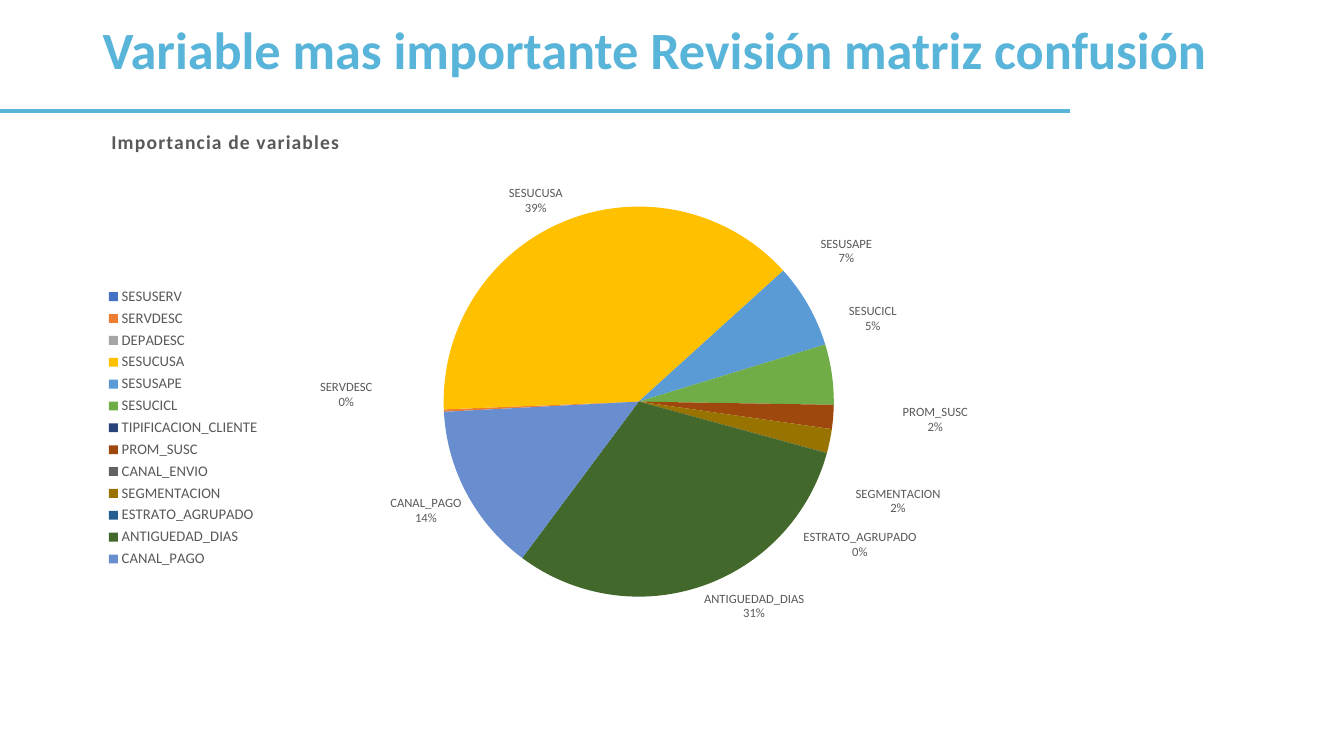
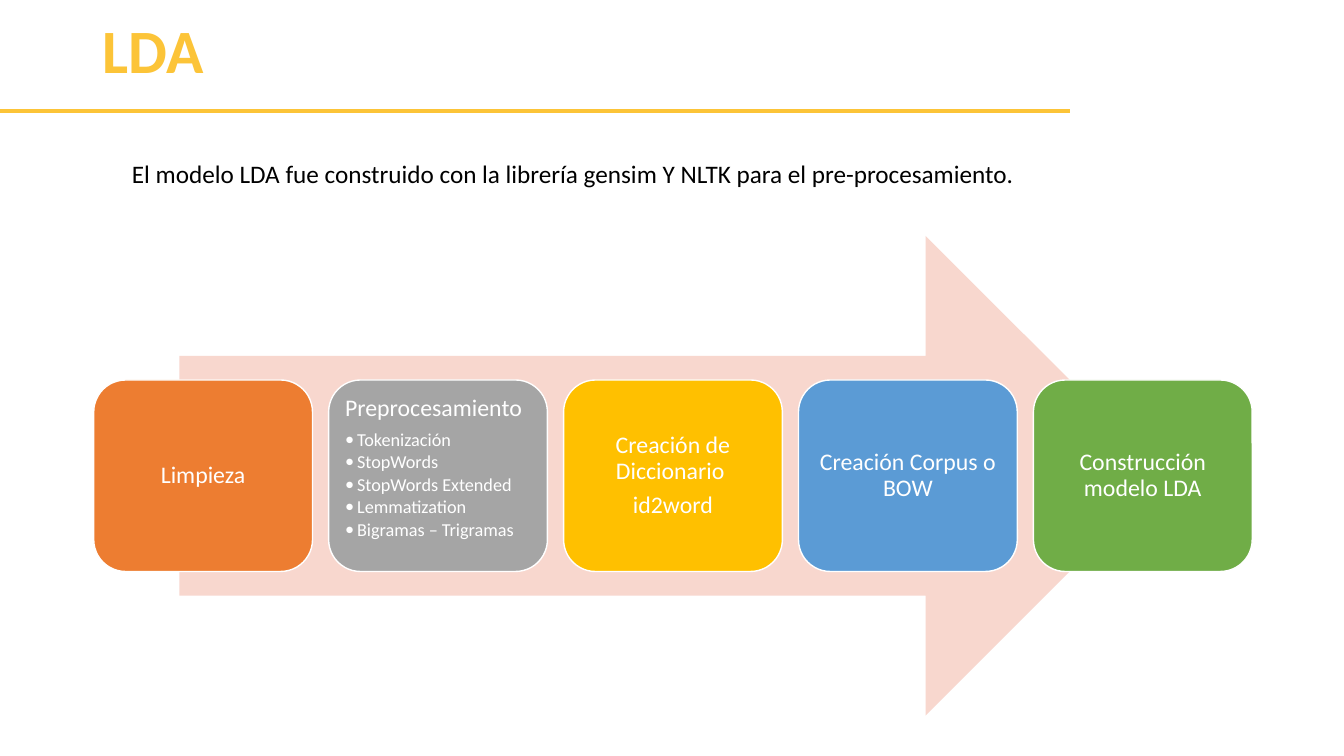
from copy import deepcopy

from pptx import Presentation
from pptx.chart.data import CategoryChartData
from pptx.dml.color import RGBColor
from pptx.enum.chart import XL_CHART_TYPE, XL_LABEL_POSITION, XL_LEGEND_POSITION
from pptx.enum.shapes import MSO_CONNECTOR, MSO_SHAPE
from pptx.enum.text import MSO_ANCHOR, PP_ALIGN
from pptx.oxml import parse_xml
from pptx.oxml.ns import nsdecls, qn
from pptx.util import Inches, Pt

PIE = XL_CHART_TYPE.PIE
OUTER = XL_LABEL_POSITION.OUTSIDE_END
SIDE = XL_LEGEND_POSITION.LEFT
LINE = MSO_CONNECTOR.STRAIGHT
ARROW = MSO_SHAPE.RIGHT_ARROW
ROUND = MSO_SHAPE.ROUNDED_RECTANGLE
TOP, MIDDLE = MSO_ANCHOR.TOP, MSO_ANCHOR.MIDDLE
LEFT, CENTER, JUSTIFY = PP_ALIGN.LEFT, PP_ALIGN.CENTER, PP_ALIGN.JUSTIFY

FONT = "Calibri"
WHITE, BLACK, GRAY = "FFFFFF", "000000", "595959"
SKY, GOLD, PINK = "59B4D9", "FCC438", "F8D7CE"

PARTS = [
    ("SESUSERV", 0, "4472C4"),
    ("SERVDESC", 0.2, "ED7D31"),
    ("DEPADESC", 0, "A5A5A5"),
    ("SESUCUSA", 39, "FFC000"),
    ("SESUSAPE", 7, "5B9BD5"),
    ("SESUCICL", 5, "70AD47"),
    ("TIPIFICACION_CLIENTE", 0, "264478"),
    ("PROM_SUSC", 2, "9E480E"),
    ("CANAL_ENVIO", 0, "636363"),
    ("SEGMENTACION", 2, "997300"),
    ("ESTRATO_AGRUPADO", 0.01, "255E91"),
    ("ANTIGUEDAD_DIAS", 31, "43682B"),
    ("CANAL_PAGO", 14, "698ED0"),
]
SHIFTS = {
    "SERVDESC": (-0.65, -0.16),
    "SESUSAPE": (0.07, -0.36),
    "SESUCICL": (0.11, -0.4),
    "PROM_SUSC": (0.63, 0.02),
    "SEGMENTACION": (0.2, 0.44),
    "ESTRATO_AGRUPADO": (-0.29, 0.75),
}
STEPS = [
    ("ED7D31", ["Limpieza"], []),
    ("A5A5A5", ["Preprocesamiento"],
     ["Tokenización", "StopWords", "StopWords Extended", "Lemmatization",
      "Bigramas – Trigramas"]),
    ("FFC000", ["Creación de Diccionario ", "id2word"], []),
    ("5B9BD5", ["Creación Corpus o BOW"], []),
    ("70AD47", ["Construcción modelo LDA"], []),
]


def color(code):
    return RGBColor.from_string(code)


def style(font, size, code, bold=False):
    font.name = FONT
    font.size = Pt(size)
    font.bold = bold
    font.color.rgb = color(code)


def write(frame, lines, size=18, code=BLACK, bold=False, align=LEFT,
          space=1.0, after=0, bullet=False, more=False):
    for i, line in enumerate(lines):
        para = frame.add_paragraph() if more or i else frame.paragraphs[0]
        para.alignment = align
        para.line_spacing = space
        para.space_after = Pt(after)
        if bullet:
            para.level = 1
            props = para._p.get_or_add_pPr()
            props.set("marL", str(Inches(0.12)))
            props.set("indent", str(Inches(-0.12)))
            props.append(parse_xml(
                f'<a:buFont {nsdecls("a")} typeface="{FONT}"/>'))
            props.append(parse_xml(f'<a:buChar {nsdecls("a")} char="•"/>'))
        run = para.add_run()
        run.text = line
        style(run.font, size, code, bold)


def place(node, index, area, **spots):
    for old in node.findall(qn("c:layout")):
        node.remove(old)
    wide, high = area
    inner = '<c:layoutTarget val="inner"/>' if "w" in spots else ""
    modes = "".join(f'<c:{key}Mode val="edge"/>' for key in "xy"
                    if node.tag != qn("c:dLbl"))
    sizes = "".join(
        f'<c:{key} val="{val / (wide if key in "xw" else high):.4f}"/>'
        for key, val in spots.items())
    node.insert(index, parse_xml(
        f'<c:layout {nsdecls("c")}><c:manualLayout>{inner}{modes}{sizes}'
        '</c:manualLayout></c:layout>'))


class Deck:
    def __init__(self):
        self.show = Presentation()
        self.show.slide_width = Inches(13.33)
        self.show.slide_height = Inches(7.5)

    def page(self, title, tone, size, space, anchor):
        self.slide = self.show.slides.add_slide(self.show.slide_layouts[6])
        self.text([title], 0.92, 0.15, 11.5, 0.78, anchor,
                  size=size, code=tone, bold=True, space=space)
        self.rule(0, 1.1, 10.61, tone)

    def text(self, lines, x, y, w, h, anchor=TOP, **fmt):
        box = self.slide.shapes.add_textbox(*map(Inches, (x, y, w, h)))
        box.text_frame.word_wrap = True
        box.text_frame.vertical_anchor = anchor
        write(box.text_frame, lines, **fmt)

    def rule(self, x, y, end, tone):
        line = self.slide.shapes.add_connector(LINE, *map(Inches, (x, y, end, y)))
        line.line.color.rgb = color(tone)
        line.line.width = Pt(3)
        line._element.spPr.append(parse_xml(f'<a:effectLst {nsdecls("a")}/>'))

    def shape(self, kind, x, y, w, h, fill, edge=None):
        form = self.slide.shapes.add_shape(kind, *map(Inches, (x, y, w, h)))
        form.shadow.inherit = False
        form.fill.solid()
        form.fill.fore_color.rgb = color(fill)
        if edge:
            form.line.color.rgb = color(edge)
            form.line.width = Pt(1)
        else:
            form.line.fill.background()
        return form

    def step(self, x, y, w, h, fill, heads, items):
        frame = self.shape(ROUND, x, y, w, h, fill, WHITE).text_frame
        frame.word_wrap = True
        frame.margin_left = frame.margin_right = Inches(0.07)
        frame.margin_top = frame.margin_bottom = Inches(0.07)
        frame.vertical_anchor = TOP if items else MIDDLE
        write(frame, heads, size=17, code=WHITE, space=0.9, after=6,
              align=LEFT if items else CENTER)
        write(frame, items, size=13, code=WHITE, space=0.9, after=2,
              bullet=True, more=True)

    def pie(self, title, parts, shifts, x, y, w, h):
        data = CategoryChartData()
        data.categories = [name for name, _, _ in parts]
        data.add_series("Series 1", [val for _, val, _ in parts])
        chart = self.slide.shapes.add_chart(
            PIE, *map(Inches, (x, y, w, h)), data).chart
        area = (w, h)
        style(chart.font, 10, BLACK)

        chart.has_title = True
        frame = chart.chart_title.text_frame
        write(frame, [title], size=14, code=GRAY, bold=True)
        frame.paragraphs[0].runs[0].font._element.set("spc", "70")
        place(chart.chart_title._element, 1, area, x=0.12, y=0.1)

        chart.has_legend = True
        chart.legend.position = SIDE
        chart.legend.include_in_layout = False
        style(chart.legend.font, 10.5, GRAY)

        plot = chart.plots[0]
        plot.vary_by_categories = True
        turn = plot._element.find(qn("c:firstSliceAng"))
        if turn is None:
            turn = parse_xml(f'<c:firstSliceAng {nsdecls("c")}/>')
            plot._element.append(turn)
        turn.set("val", "267")
        place(plot._element.getparent(), 0, area, x=3.45, y=0.91, w=3.87, h=3.87)

        series = plot.series[0]
        for i, (_, _, tone) in enumerate(parts):
            fill = series.points[i].format.fill
            fill.solid()
            fill.fore_color.rgb = color(tone)
        self.labels(series.data_labels, parts, shifts, area)

    def labels(self, labels, parts, shifts, area):
        style(labels.font, 9, GRAY)
        labels.number_format = "0%"
        labels.number_format_is_linked = False
        labels.position = OUTER
        labels.show_value = False
        labels.show_category_name = True
        labels.show_percentage = True
        root = labels._element
        root.find(qn("c:showBubbleSize")).addnext(parse_xml(
            f'<c:separator {nsdecls("c")}>\n</c:separator>'))
        lead = root.find(qn("c:showLeaderLines"))
        if lead is not None:
            lead.set("val", "0")
        base = [node for node in root if node is not lead]
        spot = 0
        for i, (name, val, _) in enumerate(parts):
            if val and name not in shifts:
                continue
            label = parse_xml(
                f'<c:dLbl {nsdecls("c")}><c:idx val="{i}"/></c:dLbl>')
            if val:
                dx, dy = shifts[name]
                place(label, 1, area, x=dx, y=dy)
                label.extend(deepcopy(base))
            else:
                label.append(parse_xml(f'<c:delete {nsdecls("c")} val="1"/>'))
            root.insert(spot, label)
            spot += 1


def main():
    deck = Deck()
    deck.page("Variable mas importante Revisión matriz confusión",
              SKY, 37.35, 0.8, MIDDLE)
    deck.pie("Importancia de variables", PARTS, SHIFTS, 0.95, 1.14, 9.64, 6.21)

    deck.page("LDA", GOLD, 44, 0.9, TOP)
    deck.text(["El modelo LDA fue construido con la librería gensim Y NLTK "
               "para el pre-procesamiento."],
              1.21, 1.52, 11.21, 0.71, align=JUSTIFY)
    deck.shape(ARROW, 1.78, 2.34, 9.78, 4.76, PINK)
    for i, (fill, heads, items) in enumerate(STEPS):
        deck.step(0.93 + i * 2.33, 3.77, 2.17, 1.9, fill, heads, items)
    deck.show.save("out.pptx")


if __name__ == "__main__":
    main()
